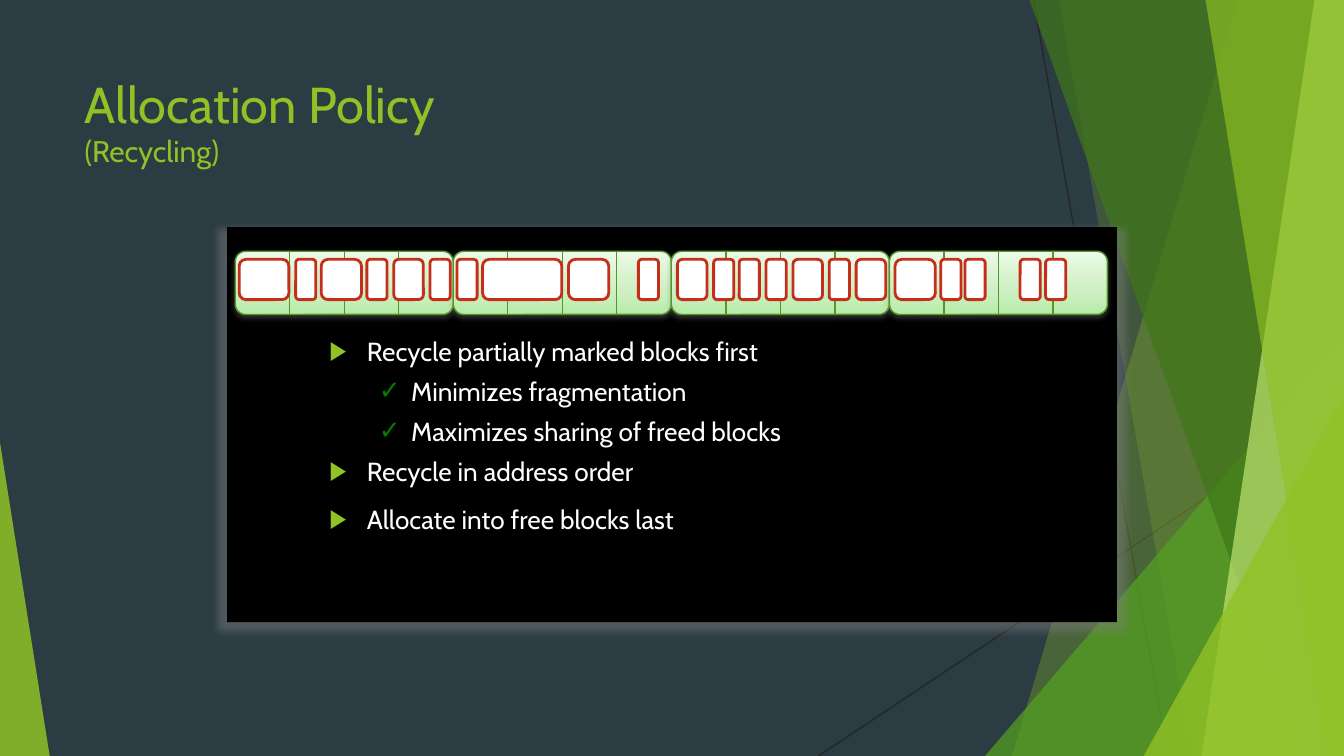
from copy import deepcopy

from lxml.etree import SubElement
from pptx import Presentation
from pptx.dml.color import RGBColor
from pptx.enum.shapes import MSO_CONNECTOR as Connector, MSO_SHAPE as Shape
from pptx.enum.text import MSO_ANCHOR as Anchor, PP_ALIGN as Align
from pptx.oxml.ns import qn
from pptx.util import Inches, Pt

WIDTH = 10
HEIGHT = WIDTH * 9 / 16
FONT = "Cabin"
COLORS = {
    "background": "2C3C43", "hairline": "262626", "lime": "90C226",
    "green": "54A021", "forest": "3F7818", "pale": "BFE471",
    "panel": "000000", "shadow": "808080", "block_edge": "529827",
    "object": "FFFFFF", "object_edge": "C42F1A",
    "text": "FEFEFE", "check": "008000",
}

TITLE = [("Allocation Policy", 27), ("(Recycling)", 16)]
RECYCLING = [
    (0, "Recycle partially marked blocks first"),
    (1, "Minimizes fragmentation"),
    (1, "Maximizes sharing of freed blocks"),
    (0, "Recycle in address order"),
]
FREE_BLOCKS = [(0, "Allocate into free blocks last")]
# level: bullet, its colour, left margin, hanging indent
BULLETS = {0: ("▶", "lime", 0.28, 0.28), 1: ("✓", "check", 0.61, 0.24)}

HAIRLINES = [(7.69, 0, 8.69, HEIGHT), (WIDTH, 3.02, 6.09, HEIGHT)]
# Facets reach the right edge: top-left x, bottom-left x, colour, opacity
BACK_FACETS = [(9.21, 7.53, "lime", 30), (7.88, 8.87, "lime", 20)]
FRONT_FACETS = [(7.66, 9.68, "forest", 70), (9.78, 8.94, "pale", 70),
                (8.97, 9.88, "lime", 65)]
# Corners stand on the bottom edge: left, top, width, apex, colour, opacity
BACK_CORNERS = [(7.33, 2.5, 2.67, 1, "green", 72)]
FRONT_CORNERS = [(8.51, 2.94, 1.49, 1, "lime", 80), (0, 3.29, 0.37, 0, "lime", 85)]

BLOCK_COUNT, LINES_PER_BLOCK = 4, 4
HEAP_LEFT, HEAP_TOP, HEAP_WIDTH, HEAP_HEIGHT = 1.75, 1.87, 6.49, 0.47
BLOCK_GRADIENT = [(0, "EBFAE7"), (0.65, "CDEFC2"), (1, "B7EBA7")]
OBJECT_TOP, OBJECT_HEIGHT = 1.93, 0.3
OBJECT_LEFTS = {  # width: lefts of the objects
    0.15: [2.2, 2.73, 3.2, 3.4, 4.75, 5.31, 5.5, 5.7, 6.17, 7, 7.18, 7.59, 7.78],
    0.22: [2.93, 5.04, 5.9, 6.37],
    0.3: [2.39, 4.23, 6.66],
    0.37: [1.78],
    0.59: [3.59],
}


def rgb(color):
    return RGBColor.from_string(COLORS[color])


def paint(shape, fill=None, line=None, weight=0.75, opacity=100):
    shape.shadow.inherit = False
    if fill:
        shape.fill.solid()
        shape.fill.fore_color.rgb = rgb(fill)
        if opacity < 100:
            color = shape._element.spPr.find(".//" + qn("a:srgbClr"))
            SubElement(color, qn("a:alpha"), val=str(opacity * 1000))
    if line:
        shape.line.color.rgb = rgb(line)
        shape.line.width = Pt(weight)
    else:
        shape.line.fill.background()


def add_shape(kind, left, top, width, height, **look):
    shape = slide.shapes.add_shape(kind, *map(Inches, (left, top, width, height)))
    paint(shape, **look)
    return shape


def add_line(x1, y1, x2, y2, color):
    line = slide.shapes.add_connector(
        Connector.STRAIGHT, *map(Inches, (x1, y1, x2, y2)))
    line.line.color.rgb = rgb(color)
    line.line.width = Pt(0.75)
    SubElement(line._element.spPr, qn("a:effectLst"))


def add_facet(top_x, bottom_x, color, opacity):
    corners = [(WIDTH, 0), (WIDTH, HEIGHT), (bottom_x, HEIGHT)]
    builder = slide.shapes.build_freeform(Inches(top_x), 0)
    builder.add_line_segments([(Inches(x), Inches(y)) for x, y in corners])
    paint(builder.convert_to_shape(), fill=color, opacity=opacity)


def add_corner(left, top, width, apex, color, opacity):
    corner = add_shape(Shape.ISOSCELES_TRIANGLE, left, top, width, HEIGHT - top,
                       fill=color, opacity=opacity)
    corner.adjustments[0] = apex


def cast_shadow(shape, opacity, blur, distance, scale=100):
    effects = shape._element.spPr.find(qn("a:effectLst"))
    size = str(scale * 1000)
    shadow = SubElement(effects, qn("a:outerShdw"), blurRad=str(Pt(blur)),
                        dist=str(Pt(distance)), dir="5400000", sx=size, sy=size,
                        algn="ctr", rotWithShape="0")
    color = SubElement(shadow, qn("a:srgbClr"), val=COLORS["shadow"])
    SubElement(color, qn("a:alpha"), val=str(opacity * 1000))


def add_block(left, width):
    block = add_shape(Shape.ROUNDED_RECTANGLE, left, HEAP_TOP, width, HEAP_HEIGHT,
                      line="block_edge")
    block.fill.gradient()
    block.fill.gradient_angle = 270
    stop_list = block._element.spPr.find(".//" + qn("a:gsLst"))
    stop_list.append(deepcopy(stop_list[-1]))
    for stop, (position, color) in zip(block.fill.gradient_stops, BLOCK_GRADIENT):
        stop.position = position
        stop.color.rgb = RGBColor.from_string(color)
    cast_shadow(block, 38, 3.1, 1.6)
    for number in range(1, LINES_PER_BLOCK):
        x = left + number * width / LINES_PER_BLOCK
        add_line(x, HEAP_TOP, x, HEAP_TOP + HEAP_HEIGHT, "block_edge")


def write(paragraph, text, size=14, color="text"):
    run = paragraph.add_run()
    run.text = text
    run.font.name, run.font.size = FONT, Pt(size)
    run.font.color.rgb = rgb(color)


def place(placeholder, left, top, width, height, top_inset=0.04):
    """Move a placeholder in front of the shapes and return its text frame."""
    slide.shapes._spTree.append(placeholder._element)
    placeholder.left, placeholder.top = Inches(left), Inches(top)
    placeholder.width, placeholder.height = Inches(width), Inches(height)
    frame = placeholder.text_frame
    frame.word_wrap, frame.vertical_anchor = True, Anchor.TOP
    frame.margin_left = frame.margin_right = Inches(0.07)
    frame.margin_top, frame.margin_bottom = Inches(top_inset), Inches(0.04)
    return frame


def fill_list(frame, items):
    for index, (level, text) in enumerate(items):
        paragraph = frame.add_paragraph() if index else frame.paragraphs[0]
        paragraph.level = level
        paragraph.line_spacing = 0.8
        paragraph.space_before = Pt(8 if index else 0)
        write(paragraph, text)
        bullet, color, margin, hanging = BULLETS[level]
        properties = paragraph._p.get_or_add_pPr()
        properties.set("marL", str(Inches(margin)))
        properties.set("indent", str(-Inches(hanging)))
        bullet_color = SubElement(properties, qn("a:buClr"))
        SubElement(bullet_color, qn("a:srgbClr"), val=COLORS[color])
        SubElement(properties, qn("a:buSzPct"), val="100000")
        SubElement(properties, qn("a:buFont"), typeface="Arial")
        SubElement(properties, qn("a:buChar"), char=bullet)


deck = Presentation()
deck.slide_width, deck.slide_height = Inches(WIDTH), Inches(HEIGHT)
slide = deck.slides.add_slide(deck.slide_layouts.get_by_name("Two Content"))
slide.background.fill.solid()
slide.background.fill.fore_color.rgb = rgb("background")

for ends in HAIRLINES:
    add_line(*ends, "hairline")
for facets, corners in [(BACK_FACETS, BACK_CORNERS), (FRONT_FACETS, FRONT_CORNERS)]:
    for facet in facets:
        add_facet(*facet)
    for corner in corners:
        add_corner(*corner)

panel = add_shape(Shape.RECTANGLE, 1.69, 1.69, 6.62, 2.94, fill="panel")
cast_shadow(panel, 43, 4, 3, scale=102)

block_width = HEAP_WIDTH / BLOCK_COUNT
for number in range(BLOCK_COUNT):
    add_block(HEAP_LEFT + number * block_width, block_width)
for width, lefts in OBJECT_LEFTS.items():
    for left in lefts:
        add_shape(Shape.ROUNDED_RECTANGLE, left, OBJECT_TOP, width, OBJECT_HEIGHT,
                  fill="object", line="object_edge", weight=1.5)

title, recycling, free_blocks = list(slide.placeholders)
heading = place(title, 0.56, 0.5, 7.05, 1.08).paragraphs[0]
heading.alignment = Align.LEFT
for index, (text, size) in enumerate(TITLE):
    if index:
        heading.add_line_break()
    write(heading, text, size=size, color="lime")
fill_list(place(recycling, 2.38, 2.5, 5.25, 1.3), RECYCLING)
fill_list(place(free_blocks, 2.38, 3.46, 5.25, 0.79, top_inset=0.33), FREE_BLOCKS)

deck.save("out.pptx")
